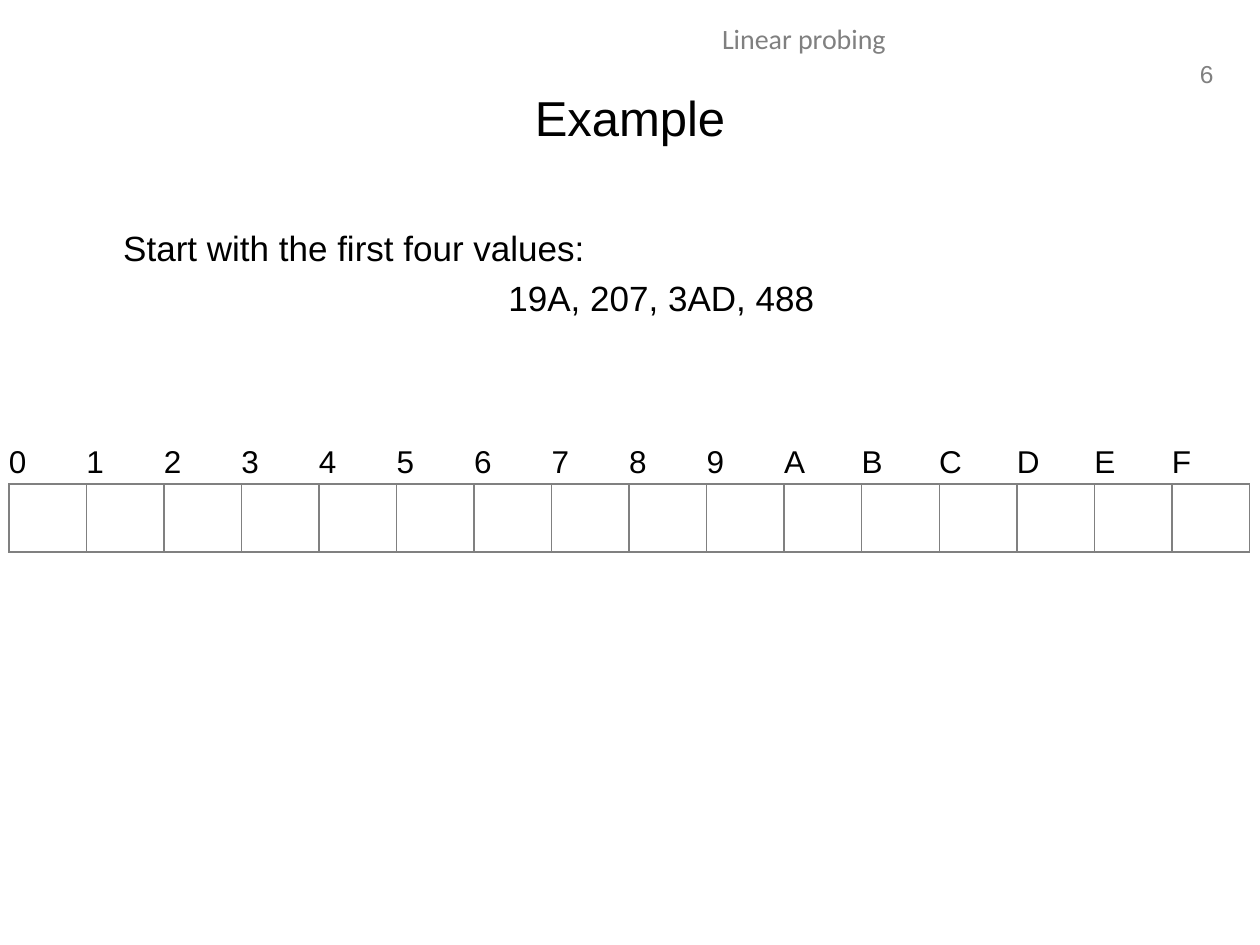
from dataclasses import dataclass

from lxml import etree
from pptx import Presentation
from pptx import util as u
from pptx.dml.color import RGBColor
from pptx.enum import text
from pptx.oxml.ns import qn


@dataclass(frozen=True)
class Theme:
    ink: str = "000000"
    gray: str = "808080"
    font: str = "Arial"
    header_font: str = "Calibri"
    title_size: int = 28
    body_size: int = 20
    cell_size: int = 18
    header_size: int = 16
    number_size: int = 14
    border_width: int = 1


class SlideBuilder:
    def __init__(self, slide, theme):
        self.slide = slide
        self.theme = theme

    def format_runs(self, paragraph, size, color=None, font=None):
        for run in paragraph.runs:
            run.font.size = u.Pt(size)
            run.font.name = font or self.theme.font
            run.font.color.rgb = RGBColor.from_string(color or self.theme.ink)

    def add_text(self, content, box, size, color=None, font=None,
                 align=text.PP_ALIGN.CENTER, anchor=text.MSO_ANCHOR.TOP, wrap=True):
        shape = self.slide.shapes.add_textbox(*map(u.Inches, box))
        frame = shape.text_frame
        frame.word_wrap = wrap
        frame.vertical_anchor = anchor
        frame.text = content
        for paragraph in frame.paragraphs:
            paragraph.alignment = align
            self.format_runs(paragraph, size, color, font)
        return shape

    def indent(self, paragraph, margin, first_line):
        properties = paragraph._p.get_or_add_pPr()
        properties.set("marL", str(u.Inches(margin)))
        properties.set("indent", str(u.Inches(first_line)))

    def set_borders(self, cell, visible_sides):
        properties = cell._tc.get_or_add_tcPr()
        for side in "LRTB":
            line = etree.SubElement(properties, qn(f"a:ln{side}"))
            if side in visible_sides:
                line.set("w", str(u.Pt(self.theme.border_width)))
                fill = etree.SubElement(line, qn("a:solidFill"))
                etree.SubElement(fill, qn("a:srgbClr"), val=self.theme.gray)
            else:
                etree.SubElement(line, qn("a:noFill"))

    def add_hash_table(self, labels, box, row_heights):
        frame = self.slide.shapes.add_table(2, len(labels), *map(u.Inches, box))
        table = frame.table
        table.first_row = table.horz_banding = False
        for row, height in zip(table.rows, row_heights):
            row.height = u.Inches(height)
        for index, label in enumerate(labels):
            table.columns[index].width = u.Inches(box[2] / len(labels))
            heading, slot = table.cell(0, index), table.cell(1, index)
            heading.text = label
            heading.vertical_anchor = text.MSO_ANCHOR.MIDDLE
            heading.margin_left = heading.margin_right = 0
            heading.margin_top = heading.margin_bottom = 0
            self.format_runs(heading.text_frame.paragraphs[0], self.theme.cell_size)
            for cell, sides in ((heading, "B"), (slot, "LRTB")):
                self.set_borders(cell, sides)
                cell.fill.background()


def main():
    presentation = Presentation()
    presentation.slide_width = u.Inches(10)
    presentation.slide_height = u.Inches(7.5)
    theme = Theme()
    builder = SlideBuilder(presentation.slides.add_slide(presentation.slide_layouts[6]), theme)

    # Page number and running header
    number = builder.add_text("6", (9.29, 0.42, 0.44, 0.33), theme.number_size, theme.gray,
                              align=text.PP_ALIGN.RIGHT, wrap=False)
    number.text_frame.auto_size = text.MSO_AUTO_SIZE.SHAPE_TO_FIT_TEXT
    builder.add_text("Linear probing", (3.19, 0.12, 6.38, 0.4), theme.header_size,
                     theme.gray, theme.header_font)

    # Body: introduction and the values to insert
    body = builder.add_text("\tStart with the first four values:\n19A, 207, 3AD, 488",
                            (0.5, 1.75, 9, 4.95), theme.body_size)
    introduction, values = body.text_frame.paragraphs
    introduction.alignment = text.PP_ALIGN.LEFT
    builder.indent(introduction, 0.38, -0.38)
    values.level = 1
    values.space_before = u.Pt(4.6)
    builder.indent(values, 0.81, -0.31)

    # Title
    builder.add_text("Example", (0.5, 0.3, 9, 1.25), theme.title_size,
                     anchor=text.MSO_ANCHOR.MIDDLE)

    # Empty hash table with one slot per hexadecimal digit
    builder.add_hash_table("0123456789ABCDEF", (0.07, 3.51, 9.85, 0.87), (0.33, 0.54))

    presentation.save("out.pptx")


if __name__ == "__main__":
    main()
